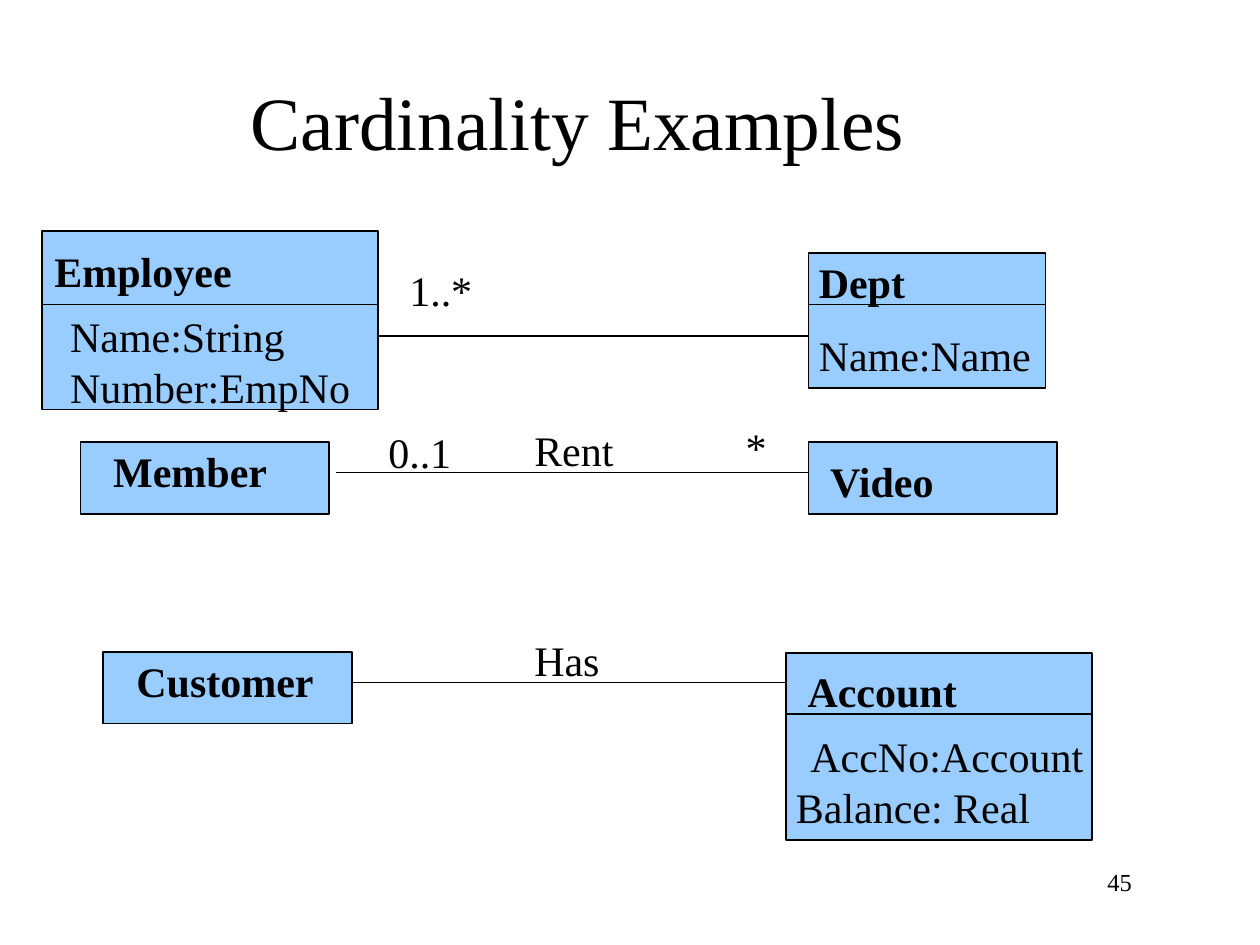
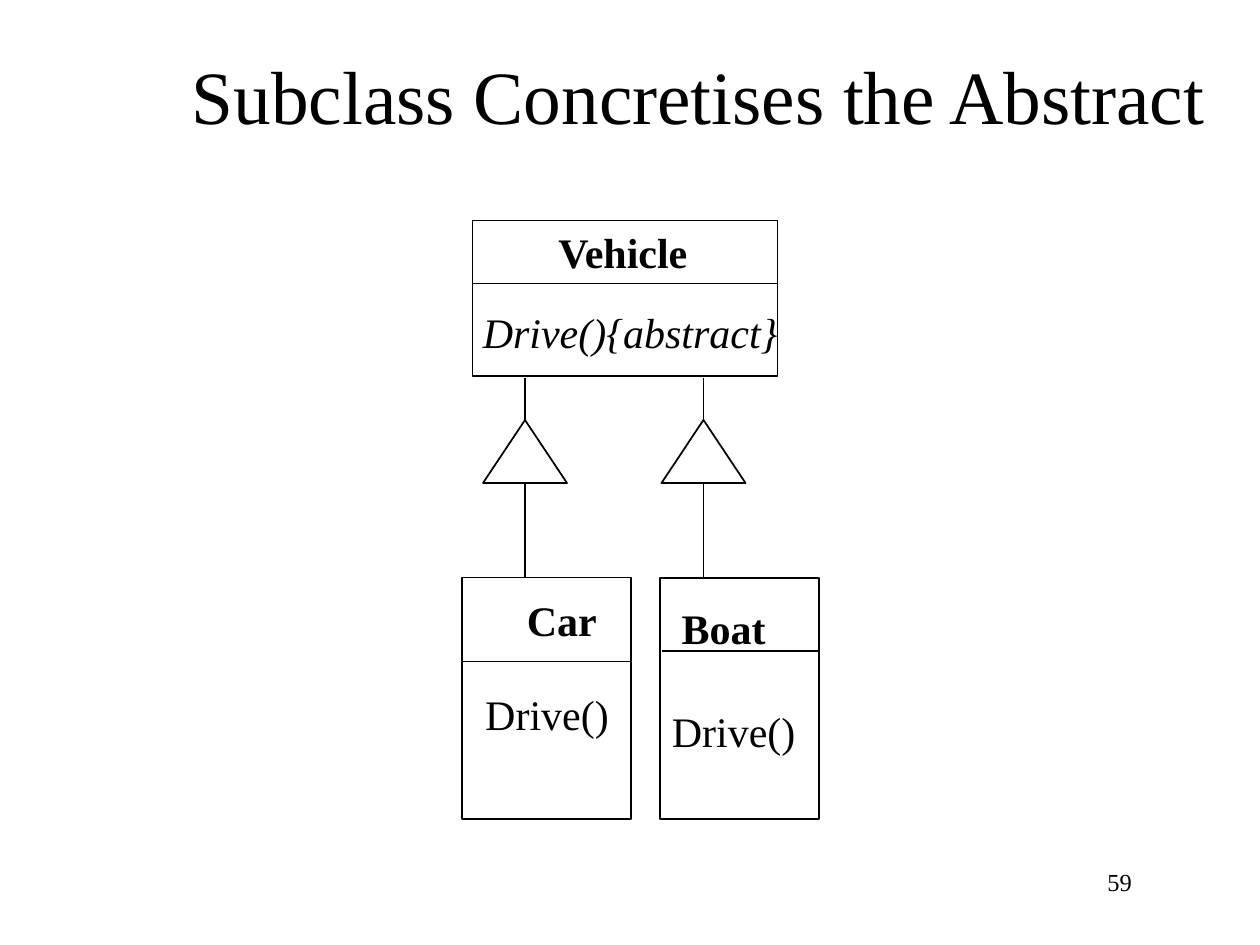
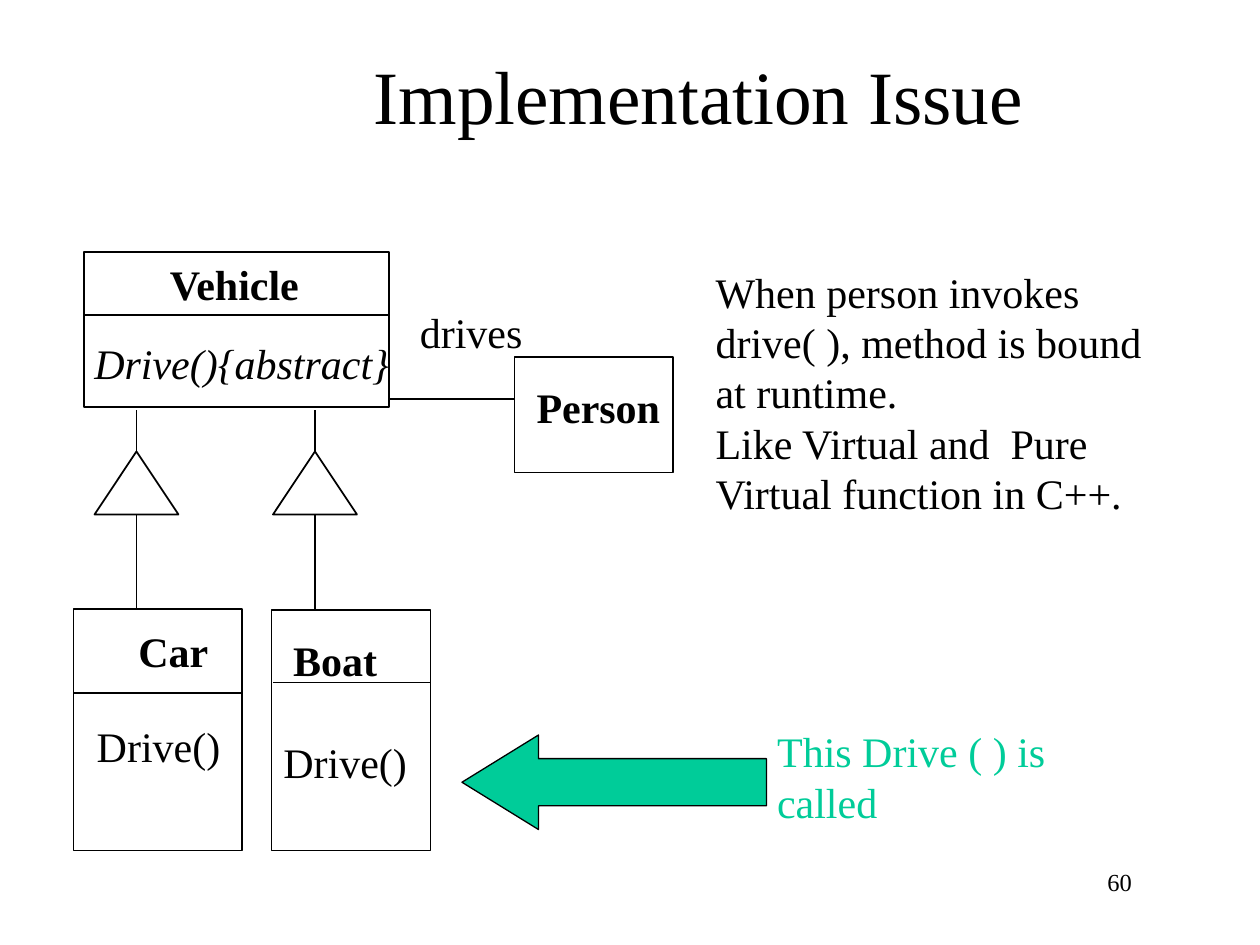
from dataclasses import dataclass

from lxml import etree
from pptx import Presentation
from pptx.dml.color import RGBColor
from pptx.enum.shapes import MSO_CONNECTOR, MSO_SHAPE
from pptx.enum.text import MSO_ANCHOR, MSO_AUTO_SIZE, PP_ALIGN
from pptx.oxml.ns import qn
from pptx.util import Pt

RECTANGLE = MSO_SHAPE.RECTANGLE
TRIANGLE = MSO_SHAPE.ISOSCELES_TRIANGLE
LEFT_ARROW = MSO_SHAPE.LEFT_ARROW
STRAIGHT = MSO_CONNECTOR.STRAIGHT
LEFT, CENTER, RIGHT = PP_ALIGN.LEFT, PP_ALIGN.CENTER, PP_ALIGN.RIGHT
TOP, MIDDLE = MSO_ANCHOR.TOP, MSO_ANCHOR.MIDDLE
NO_FIT, GROW = MSO_AUTO_SIZE.NONE, MSO_AUTO_SIZE.SHAPE_TO_FIT_TEXT
TITLE_ONLY = 5
APEX = 0


@dataclass(frozen=True)
class Theme:
    font: str = "Times New Roman"
    ink: RGBColor = RGBColor(0, 0, 0)
    class_fill: RGBColor = RGBColor(0x99, 0xCC, 0xFF)
    accent: RGBColor = RGBColor(0x00, 0xCC, 0x99)
    title_size: float = 43
    text_size: float = 24
    number_size: float = 14
    line: float = 1
    thin_line: float = 0.75


THEME = Theme()


def write_text(frame, text, *, size=THEME.text_size, color=THEME.ink, bold=False,
               italic=False, align=LEFT, anchor=TOP, wrap=False, fit=GROW):
    """Fill a text frame; each line of text becomes a paragraph."""
    frame.word_wrap = wrap
    frame.auto_size = fit
    frame.vertical_anchor = anchor
    frame.margin_left = frame.margin_right = Pt(7.2)
    frame.margin_top = frame.margin_bottom = Pt(3.6)
    for index, line in enumerate(text.split("\n")):
        para = frame.add_paragraph() if index else frame.paragraphs[0]
        para.alignment = align
        span = para.add_run()
        span.text = line
        font = span.font
        font.name, font.size, font.color.rgb = THEME.font, Pt(size), color
        font.bold, font.italic = bold, italic


class Page:
    """One slide and the elements that can be drawn on it, in points."""

    def __init__(self, deck, title, number, title_area=(102, 18, 594, 72)):
        self.theme = THEME
        self.slide = deck.slides.add_slide(deck.slide_layouts[TITLE_ONLY])
        self.shapes = self.slide.shapes
        heading = self.shapes.title
        heading.left, heading.top, heading.width, heading.height = map(Pt, title_area)
        write_text(heading.text_frame, title, size=self.theme.title_size,
                   align=CENTER, anchor=MIDDLE, wrap=True, fit=NO_FIT)
        self.label(str(number), 516, 492, 138, 37.5, size=self.theme.number_size,
                   align=RIGHT, wrap=True, fit=NO_FIT)

    def label(self, text, left, top, width, height=36, **style):
        box = self.shapes.add_textbox(Pt(left), Pt(top), Pt(width), Pt(height))
        write_text(box.text_frame, text, **style)

    def shape(self, kind, left, top, width, height, fill=None, line=THEME.line):
        shape = self.shapes.add_shape(kind, Pt(left), Pt(top), Pt(width), Pt(height))
        shape.shadow.inherit = False
        if fill is None:
            shape.fill.background()
        else:
            shape.fill.solid()
            shape.fill.fore_color.rgb = fill
        shape.line.color.rgb = self.theme.ink
        shape.line.width = Pt(line)
        return shape

    def line(self, x1, y1, x2, y2, width=THEME.line):
        connector = self.shapes.add_connector(STRAIGHT, Pt(x1), Pt(y1), Pt(x2), Pt(y2))
        connector.line.color.rgb = self.theme.ink
        connector.line.width = Pt(width)
        etree.SubElement(connector._element.spPr, qn("a:effectLst"))
        return connector

    def class_box(self, area, name, name_area, divider=None, fill=None,
                  divider_width=THEME.line):
        """Class rectangle with a bold name and, if given, a divider (x1, x2, y)."""
        self.shape(RECTANGLE, *area, fill=fill)
        self.label(name, *name_area, bold=True)
        if divider:
            x1, x2, y = divider
            self.line(x1, y, x2, y, divider_width)

    def generalization(self, x, top):
        """Inheritance triangle with a line above and a line below it."""
        triangle = self.shape(TRIANGLE, x - 24, top + 24, 48, 36)
        self.line(x, top + 24, x, top).begin_connect(triangle, APEX)
        self.line(x, top + 60, x, top + 114)

    def vehicle_hierarchy(self, x, y):
        """Abstract Vehicle with its subclasses; x, y is Vehicle's corner."""
        self.class_box((x, y, 174.4, 88.8), "Vehicle", (x + 42, y, 92),
                       (x, x + 174, y + 36))
        self.class_box((x + 107.2, y + 204.5, 90.8, 137.5), "Boat",
                       (x + 112.4, y + 214.8, 64), (x + 108, x + 198, y + 246))
        self.class_box((x - 6, y + 204, 96.5, 138), "Car",
                       (x + 24, y + 210.2, 56), (x - 6, x + 90, y + 252))
        for center in (x + 30, x + 132):
            self.generalization(center, y + 90)
        self.label("Drive(){abstract}", x - 1.2, y + 45.4, 185, italic=True)
        self.label("Drive()", x + 0.2, y + 264.2, 87)
        self.label("Drive()", x + 106.8, y + 273.6, 87)


def add_cardinality(deck):
    page = Page(deck, "Cardinality Examples", 45, (24, 24, 612, 90))
    blue = THEME.class_fill

    # Classes: area, name, name area, divider
    classes = [
        ((46, 252.7, 142, 41), "Member", (57.6, 250.8, 104), None),
        ((462, 252.7, 142, 41), "Video", (467.3, 257, 76), None),
        ((462, 144.7, 135.5, 77), "Dept", (460.8, 142.8, 66), (461.5, 598, 174)),
        ((59, 372.5, 142, 41), "Customer", (70.8, 370.8, 118), None),
        ((449, 373, 175, 107), "Account", (454.4, 376.6, 102), (449, 624, 408)),
    ]
    for area, name, name_area, divider in classes:
        page.class_box(area, name, name_area, divider, blue)
    page.class_box((24, 132, 192, 102), "Employee", (24, 136.8, 118),
                   (24, 216, 174), blue, THEME.thin_line)

    # Attributes
    page.label("Name:String\nNumber:EmpNo", 33, 174, 192, 65, wrap=True)
    page.label("Name:Name", 460.8, 185, 138)
    page.label("AccNo:Account", 456, 414, 172)
    page.label("Balance: Real", 447.8, 442.8, 150)

    # Associations
    for x1, x2, y in ((192, 462, 270), (216.5, 462, 192), (201.5, 449, 390)):
        page.line(x1, y, x2, y)
    page.label("Rent", 298.2, 239, 62)
    page.label("Has", 298.2, 358.8, 54)
    page.label("1..*", 226.8, 147.6, 52)
    page.label("0..1", 214.8, 240, 52)
    page.label("*", 419, 237.6, 28)


def add_subclass(deck):
    page = Page(deck, "Subclass Concretises the Abstract", 59)
    page.vehicle_hierarchy(270, 126)


def add_implementation(deck):
    page = Page(deck, "Implementation Issue", 60)
    page.vehicle_hierarchy(48, 144)

    # Person and its association
    page.class_box((294, 204, 90.8, 66), "Person", (299.5, 214.6, 87))
    page.line(222, 228, 294, 228)
    page.label("drives", 232.8, 171.4, 76)

    # Explanation
    page.label("When person invokes drive( ), method is bound at runtime.\n"
               "Like Virtual and  Pure Virtual function in C++.",
               401.8, 148.5, 278, 328.3, wrap=True, fit=NO_FIT)

    # Call pointer
    arrow = page.shape(LEFT_ARROW, 264, 420, 174, 54, THEME.accent, THEME.thin_line)
    arrow.adjustments[0], arrow.adjustments[1] = 0.5, 0.81
    page.label("This Drive ( ) is\ncalled", 437, 411.2, 168, 65,
               color=THEME.accent, wrap=True)


def main():
    deck = Presentation()
    deck.slide_width, deck.slide_height = Pt(720), Pt(540)
    add_cardinality(deck)
    add_subclass(deck)
    add_implementation(deck)
    deck.save("out.pptx")


if __name__ == "__main__":
    main()
